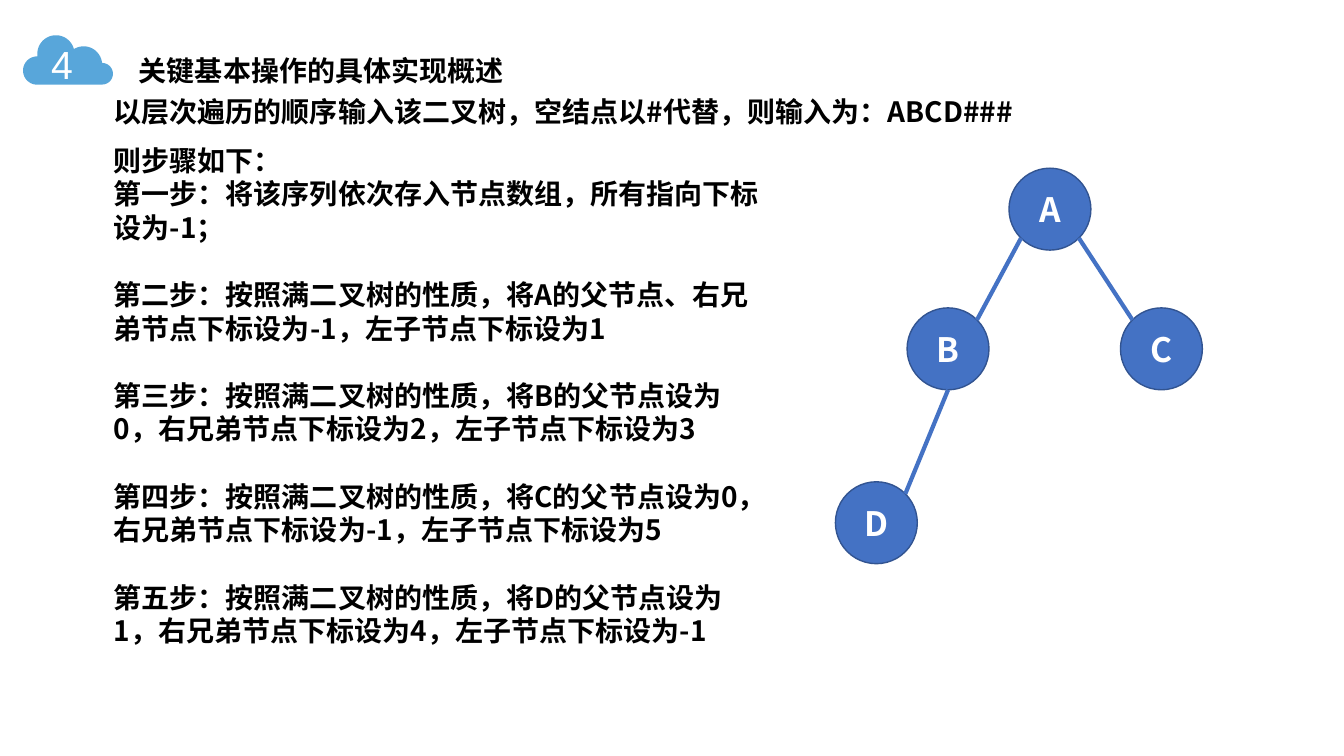
import math
from dataclasses import dataclass

import lxml.etree
import pptx
import pptx.dml.color
import pptx.enum.shapes
import pptx.enum.text
import pptx.oxml.ns
import pptx.util


@dataclass(frozen=True)
class Theme:
    black: str = "000000"
    white: str = "FFFFFF"
    cloud: str = "58A6DA"
    node: str = "4472C4"
    outline: str = "325491"
    han: str = "Noto Sans CJK SC"
    digit: str = "Arial"
    body: float = 20
    node_size: float = 24
    number_size: float = 28
    line: float = 24


@dataclass(frozen=True)
class Passage:
    left: float
    top: float
    width: float
    height: float
    paragraphs: tuple[str, ...]


@dataclass(frozen=True)
class Lobe:
    x: float
    y: float
    radius: float
    start: int
    end: int


@dataclass(frozen=True)
class Node:
    label: str
    x: float
    y: float


@dataclass(frozen=True)
class Edge:
    parent: str
    parent_angle: int
    child: str
    child_angle: int


THEME = Theme()
NODE_DIAMETER = 58.5

PASSAGES = (
    Passage(92.16, 34.56, 283.7, 31.5, ("关键基本操作的具体实现概述",)),
    Passage(74.16, 64.08, 830.2, 31.5,
            ("以层次遍历的顺序输入该二叉树，空结点以#代替，则输入为：ABCD###",)),
    Passage(74.16, 98.64, 480.2, 395.3, (
        "则步骤如下：",
        "第一步：将该序列依次存入节点数组，所有指向下标设为-1；",
        "第二步：按照满二叉树的性质，将A的父节点、右兄弟节点下标设为-1，左子节点下标设为1",
        "第三步：按照满二叉树的性质，将B的父节点设为0，右兄弟节点下标设为2，左子节点下标设为3",
        "第四步：按照满二叉树的性质，将C的父节点设为0，右兄弟节点下标设为-1，左子节点下标设为5",
        "第五步：按照满二叉树的性质，将D的父节点设为1，右兄弟节点下标设为4，左子节点下标设为-1",
    )),
)

CLOUD = (
    Lobe(26.6, 50.4, 10.1, 90, 270),
    Lobe(40, 38.5, 13.3, 172, 346),
    Lobe(59.8, 46.3, 13.2, 237, 353),
    Lobe(73, 52.7, 7.7, 270, 450),
)

NODES = (
    Node("A", 750, 149.4),
    Node("B", 677.2, 249.2),
    Node("C", 829.6, 249.2),
    Node("D", 626, 373.4),
)

EDGES = (
    Edge("A", 135, "B", 315),
    Edge("B", 90, "D", 315),
    Edge("A", 45, "C", 225),
)


def rgb(code: str) -> pptx.dml.color.RGBColor:
    return pptx.dml.color.RGBColor.from_string(code)


def polar(x: float, y: float, radius: float, degrees: float) -> tuple[int, int]:
    angle = math.radians(degrees)
    return (pptx.util.Pt(x + radius * math.cos(angle)),
            pptx.util.Pt(y + radius * math.sin(angle)))


def add_run(paragraph, text: str, face: str, size: float, color: str, bold: bool) -> None:
    run = paragraph.add_run()
    run.text = text
    run.font.name = face
    run.font.size = pptx.util.Pt(size)
    run.font.bold = bold
    run.font.color.rgb = rgb(color)
    latin = run.font._element.find(pptx.oxml.ns.qn("a:latin"))
    east_asian = lxml.etree.Element(pptx.oxml.ns.qn("a:ea"), typeface=face)
    latin.addnext(east_asian)


def add_passage(slide, passage: Passage) -> None:
    box = slide.shapes.add_textbox(*map(
        pptx.util.Pt, (passage.left, passage.top, passage.width, passage.height)))
    frame = box.text_frame
    frame.word_wrap = True
    for index, text in enumerate(passage.paragraphs):
        paragraph = frame.add_paragraph() if index else frame.paragraphs[0]
        paragraph.line_spacing = pptx.util.Pt(THEME.line)
        if index > 1:
            paragraph.space_before = pptx.util.Pt(THEME.line)
        add_run(paragraph, text, THEME.han, THEME.body, THEME.black, True)


def add_cloud(slide, number: str) -> None:
    outline = [polar(lobe.x, lobe.y, lobe.radius, degrees)
               for lobe in CLOUD
               for degrees in range(lobe.start, lobe.end + 1, 4)]
    builder = slide.shapes.build_freeform(*outline[0])
    builder.add_line_segments(outline[1:], close=True)
    cloud = builder.convert_to_shape()
    cloud.shadow.inherit = False
    cloud.fill.solid()
    cloud.fill.fore_color.rgb = rgb(THEME.cloud)
    cloud.line.fill.background()
    badge = slide.shapes.add_textbox(*map(pptx.util.Pt, (29.5, 25.2, 37.4, 41)))
    badge.text_frame.word_wrap = True
    add_run(badge.text_frame.paragraphs[0], number, THEME.digit,
            THEME.number_size, THEME.white, False)


def add_node(slide, node: Node) -> None:
    radius = NODE_DIAMETER / 2
    circle = slide.shapes.add_shape(
        pptx.enum.shapes.MSO_SHAPE.OVAL,
        *map(pptx.util.Pt, (node.x - radius, node.y - radius, NODE_DIAMETER, NODE_DIAMETER)))
    circle.shadow.inherit = False
    circle.fill.solid()
    circle.fill.fore_color.rgb = rgb(THEME.node)
    circle.line.color.rgb = rgb(THEME.outline)
    circle.line.width = pptx.util.Pt(1)
    frame = circle.text_frame
    frame.vertical_anchor = pptx.enum.text.MSO_ANCHOR.MIDDLE
    paragraph = frame.paragraphs[0]
    paragraph.alignment = pptx.enum.text.PP_ALIGN.CENTER
    add_run(paragraph, node.label, THEME.han, THEME.node_size, THEME.white, True)


def add_edge(slide, edge: Edge, nodes: dict[str, Node]) -> None:
    parent, child = nodes[edge.parent], nodes[edge.child]
    radius = NODE_DIAMETER / 2
    branch = slide.shapes.add_connector(
        pptx.enum.shapes.MSO_CONNECTOR.STRAIGHT,
        *polar(parent.x, parent.y, radius, edge.parent_angle),
        *polar(child.x, child.y, radius, edge.child_angle))
    branch.line.color.rgb = rgb(THEME.node)
    branch.line.width = pptx.util.Pt(3)
    lxml.etree.SubElement(branch._element.spPr, pptx.oxml.ns.qn("a:effectLst"))


def main() -> None:
    deck = pptx.Presentation()
    deck.slide_width, deck.slide_height = pptx.util.Pt(960), pptx.util.Pt(540)
    slide = deck.slides.add_slide(deck.slide_layouts[6])
    add_cloud(slide, "4")
    for passage in PASSAGES:
        add_passage(slide, passage)
    for node in NODES:
        add_node(slide, node)
    nodes = {node.label: node for node in NODES}
    for edge in EDGES:
        add_edge(slide, edge, nodes)
    deck.save("out.pptx")


if __name__ == "__main__":
    main()
